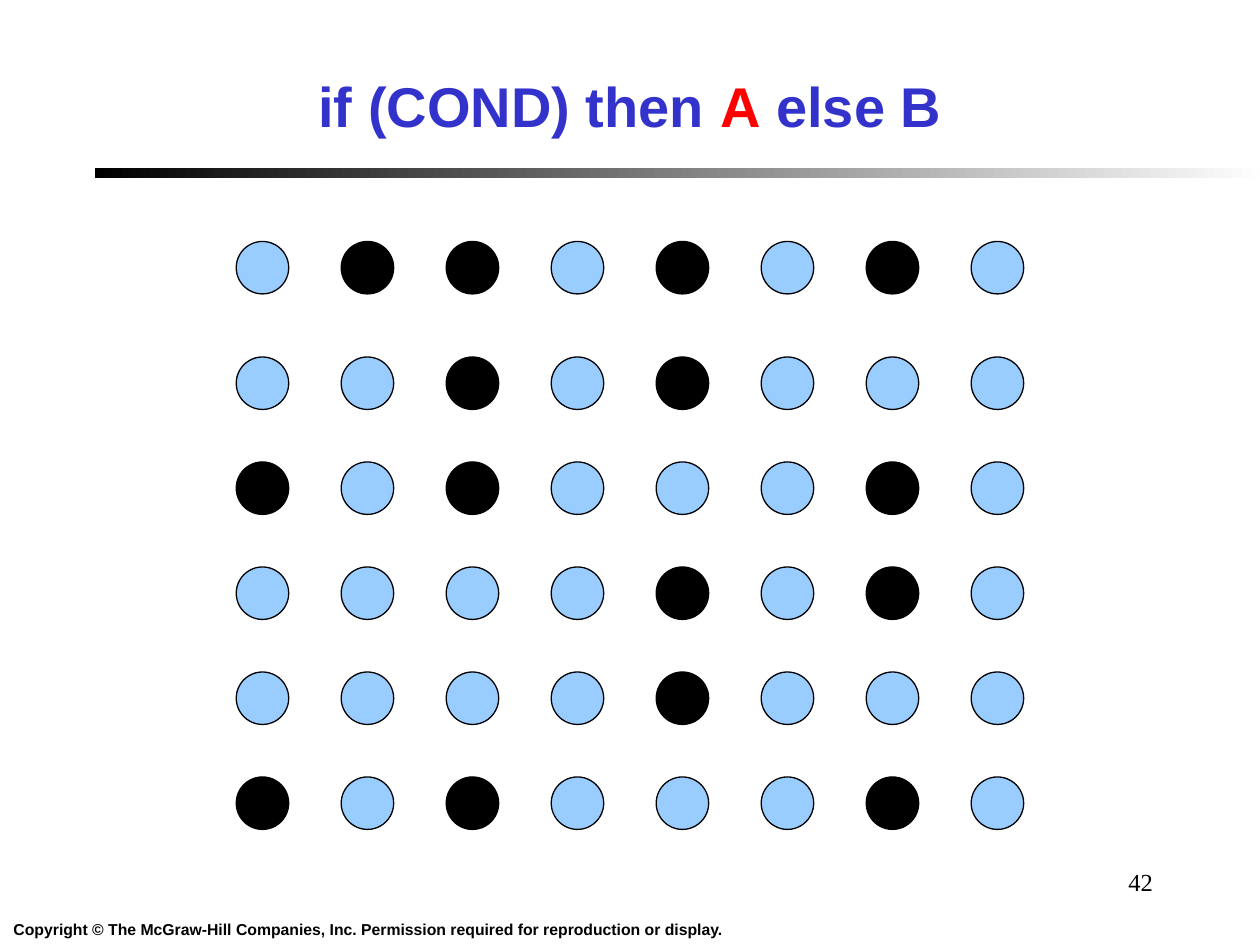
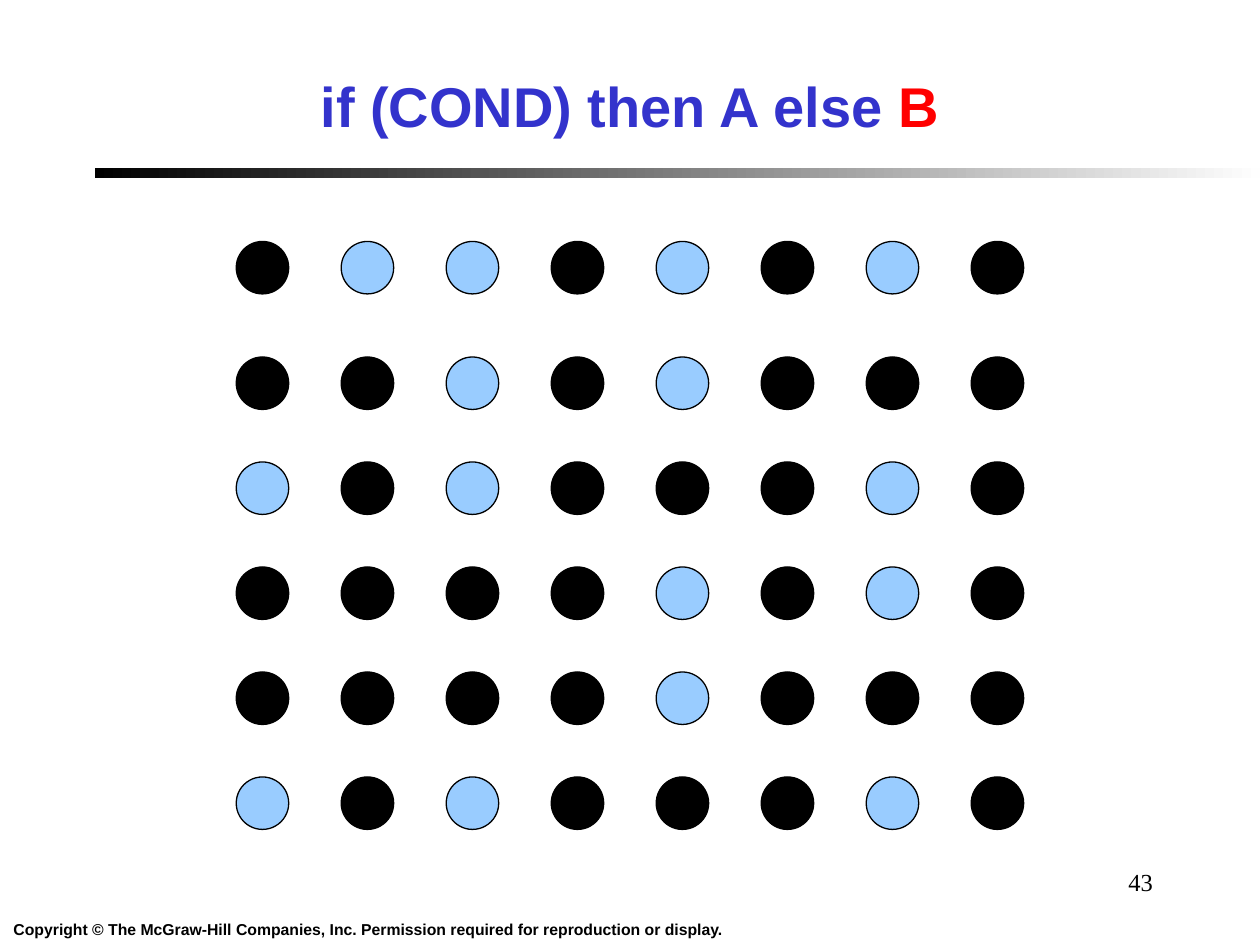
from pptx import Presentation
from pptx.dml.color import RGBColor
from pptx.enum.shapes import MSO_SHAPE as Shape
from pptx.enum.text import MSO_ANCHOR as Anchor, MSO_AUTO_SIZE as AutoSize, PP_ALIGN as Align
from pptx.util import Pt

COLORS = {
    "title": "3333CC",
    "branch": "FF0000",
    "idle": "99CCFF",
    "active": "000000",
    "ink": "000000",
    "fade": "FEFEFE",
}

COPYRIGHT = "Copyright © The McGraw-Hill Companies, Inc. Permission required for reproduction or display."

CONDITION = [
    ".XX.X.X.",
    "..X.X...",
    "X.X...X.",
    "....X.X.",
    "....X...",
    "X.X...X.",
]

STEPS = [
    {
        "title": [("if (COND) then ", "title"), ("A", "branch"), (" else B", "title")],
        "number": "42",
        "active_mark": "X",
    },
    {
        "title": [("if (COND) then A else ", "title"), ("B", "branch")],
        "number": "43",
        "active_mark": ".",
    },
]

PROCESSOR_SIZE = 30
PITCH = 60
GRID_LEFT = 135
FIRST_ROW_TOP = 138
SECOND_ROW_TOP = 204


def rgb(key):
    return RGBColor.from_string(COLORS[key])


def box(left, top, width, height):
    return Pt(left), Pt(top), Pt(width), Pt(height)


def write(frame, runs, size, font="Arial", bold=False, align=Align.CENTER, anchor=Anchor.TOP, wrap=True):
    frame.auto_size = AutoSize.NONE
    frame.word_wrap = wrap
    frame.vertical_anchor = anchor
    frame.margin_left = frame.margin_right = Pt(7.2)
    frame.margin_top = frame.margin_bottom = Pt(3.6)
    paragraph = frame.paragraphs[0]
    paragraph.alignment = align
    for text, color in runs:
        run = paragraph.add_run()
        run.text = text
        run.font.name = font
        run.font.size = Pt(size)
        run.font.bold = bold
        run.font.color.rgb = rgb(color)


def add_frame(slide, step):
    band = slide.shapes.add_shape(Shape.RECTANGLE, *box(54, 96, 666, 6))
    band.shadow.inherit = False
    band.line.fill.background()
    band.fill.gradient()
    band.fill.gradient_angle = 0
    for stop, color in zip(band.fill.gradient_stops, ("ink", "fade")):
        stop.color.rgb = rgb(color)

    copyright_line = slide.shapes.add_textbox(*box(0, 522, 420.5, 18))
    write(copyright_line.text_frame, [(COPYRIGHT, "ink")], 9, bold=True, wrap=False)

    title = slide.shapes.title
    title.left, title.top, title.width, title.height = box(54, 24, 612, 72)
    write(title.text_frame, step["title"], 32, bold=True, anchor=Anchor.MIDDLE)

    number = slide.shapes.add_textbox(*box(516, 492, 150, 36))
    write(number.text_frame, [(step["number"], "ink")], 14, font="Times New Roman", align=Align.RIGHT)


def add_processors(slide, active_mark):
    for row, marks in enumerate(CONDITION):
        top = SECOND_ROW_TOP + (row - 1) * PITCH if row else FIRST_ROW_TOP
        for column, mark in enumerate(marks):
            left = GRID_LEFT + column * PITCH
            processor = slide.shapes.add_shape(Shape.OVAL, *box(left, top, PROCESSOR_SIZE, PROCESSOR_SIZE))
            processor.shadow.inherit = False
            processor.fill.solid()
            processor.fill.fore_color.rgb = rgb("active" if mark == active_mark else "idle")
            processor.line.color.rgb = rgb("ink")
            processor.line.width = Pt(0.75)


def main():
    deck = Presentation()
    deck.slide_width, deck.slide_height = Pt(720), Pt(540)
    title_only = deck.slide_layouts[5]
    for step in STEPS:
        slide = deck.slides.add_slide(title_only)
        add_frame(slide, step)
        add_processors(slide, step["active_mark"])
    deck.save("out.pptx")


if __name__ == "__main__":
    main()
